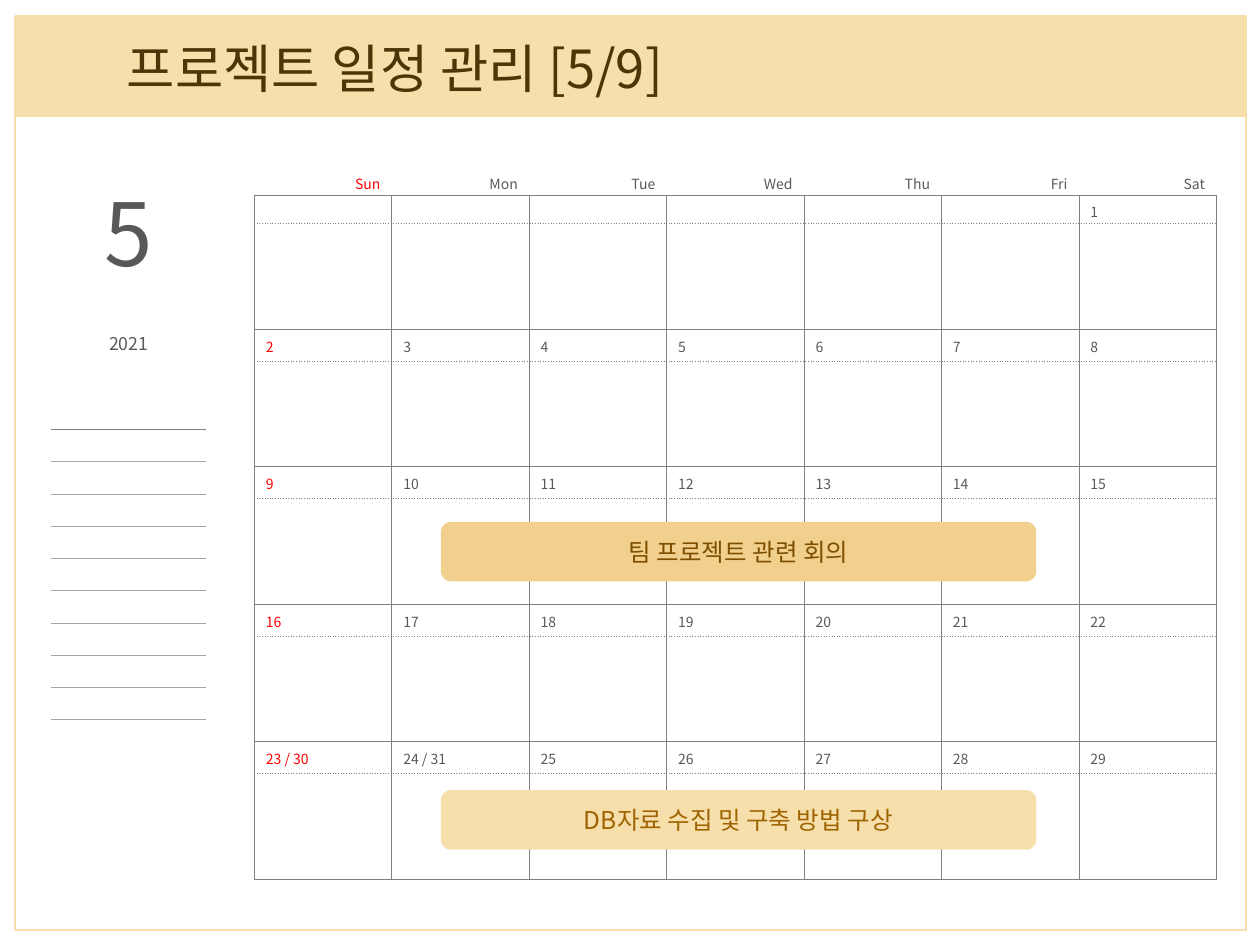
"""Build a monthly project calendar slide."""
from lxml.etree import SubElement
from pptx import Presentation
from pptx.dml.color import RGBColor
from pptx.enum.shapes import MSO_SHAPE as Shape
from pptx.enum.text import MSO_ANCHOR as Anchor, PP_ALIGN as Align
from pptx.oxml.ns import qn
from pptx.util import Cm, Pt

FONT = "Noto Sans CJK KR"
CREAM = RGBColor(0xF6, 0xDF, 0xAA)
GOLD = RGBColor(0xF1, 0xD0, 0x8D)
BROWN = RGBColor(0x4B, 0x36, 0x08)
AMBER = RGBColor(0x9E, 0x64, 0x01)
UMBER = RGBColor(0x7E, 0x4F, 0x01)
RED = RGBColor(0xFF, 0, 0)
TEXT = RGBColor(0x59, 0x59, 0x59)
GRAY = RGBColor(0x80, 0x80, 0x80)
PALE = RGBColor(0xA6, 0xA6, 0xA6)

TITLE = "프로젝트 일정 관리 [5/9]"
MONTH, YEAR = "5", "2021"
DAYS = ["Sun", "Mon", "Tue", "Wed", "Thu", "Fri", "Sat"]
WEEKS = [
    ["", "", "", "", "", "", "1"],
    ["2", "3", "4", "5", "6", "7", "8"],
    ["9", "10", "11", "12", "13", "14", "15"],
    ["16", "17", "18", "19", "20", "21", "22"],
    ["23 / 30", "24 / 31", "25", "26", "27", "28", "29"],
]
EVENTS = [
    ("DB자료 수집 및 구축 방법 구상", 15.93, CREAM, AMBER),
    ("팀 프로젝트 관련 회의", 10.52, GOLD, UMBER),
]
NOTES = 10


def write(para, text, size=8, color=TEXT, align=Align.LEFT, space=None, gap=None):
    para.alignment = align
    if space:
        para.line_spacing = space
    if gap:
        para.space_before = Pt(gap)
    if not text:
        SubElement(para._p, qn("a:endParaRPr"), sz=str(size * 100))
        return
    run = para.add_run()
    run.text = text
    font = run.font
    font.size, font.bold, font.color.rgb = Pt(size), False, color
    font.name = FONT
    SubElement(font._element, qn("a:ea"), typeface=FONT)


def draw(slide, kind, box, fill=None, line=None):
    shape = slide.shapes.add_shape(kind, *map(Cm, box))
    shape.shadow.inherit = False
    if fill:
        shape.fill.solid()
        shape.fill.fore_color.rgb = fill
    else:
        shape.fill.background()
    if line:
        shape.line.color.rgb = line
        shape.line.width = Pt(1.5)
    else:
        shape.line.fill.background()
    return shape


def add_box(slide, box, wrap=True):
    frame = slide.shapes.add_textbox(*map(Cm, box)).text_frame
    frame.word_wrap = wrap
    return frame


def edge(cell, sides):
    props = cell._tc.get_or_add_tcPr()
    for side in "LRTB":
        line = SubElement(props, qn(f"a:ln{side}"), w=str(Pt(0.5)))
        if side not in sides:
            SubElement(line, qn("a:noFill"))
            continue
        color, dash = sides[side]
        fill = SubElement(line, qn("a:solidFill"))
        SubElement(fill, qn("a:srgbClr"), val=str(color))
        SubElement(line, qn("a:prstDash"), val=dash)
    cell.fill.background()


def add_grid(slide, left, top, width, rows, cols):
    size = Cm(width * cols), Cm(sum(rows))
    table = slide.shapes.add_table(len(rows), cols, Cm(left), Cm(top), *size).table
    table.first_row = table.horz_banding = False
    for col in table.columns:
        col.width = Cm(width)
    for row, tall in zip(table.rows, rows):
        row.height = Cm(tall)
    for cell in table.iter_cells():
        cell.margin_left = cell.margin_right = Cm(0.23)
        cell.margin_top, cell.margin_bottom = Cm(0.13), 0
    return table


def add_month(slide):
    solid, dots = (GRAY, "solid"), (GRAY, "sysDot")
    date = {"L": solid, "R": solid, "T": solid, "B": dots}
    body = {**date, "T": dots, "B": solid}
    lines = [(DAYS, {"B": solid}, 0.58)]
    for week in WEEKS:
        tall = 0.64 if week[0] else 0.58
        lines += [(week, date, tall), ([""] * 7, body, 2.13)]
    table = add_grid(slide, 5.13, 3.35, 2.77, [tall for _, _, tall in lines], 7)
    for r, (words, sides, _) in enumerate(lines):
        for c, word in enumerate(words):
            cell = table.cell(r, c)
            write(cell.text_frame.paragraphs[0], word, color=TEXT if c else RED,
                  align=Align.LEFT if r else Align.RIGHT)
            edge(cell, sides)


def add_notes(slide):
    table = add_grid(slide, 1.02, 8.66, 3.14, [0.65] * NOTES, 1)
    rule = (PALE, "solid")
    for i, cell in enumerate(table.iter_cells()):
        write(cell.text_frame.paragraphs[0], "")
        sides = {"T": rule if i else (GRAY, "solid")}
        if i < NOTES - 1:
            sides["B"] = rule
        edge(cell, sides)


def main():
    deck = Presentation()
    deck.slide_width, deck.slide_height = Cm(25.4), Cm(19.05)
    slide = deck.slides.add_slide(deck.slide_layouts[6])

    draw(slide, Shape.RECTANGLE, (0.3, 0.33, 24.82, 2.03), fill=CREAM)
    draw(slide, Shape.RECTANGLE, (0.3, 0.33, 24.82, 18.42), line=CREAM)
    frame = add_box(slide, (2.31, 0.6, 12, 1.5), wrap=False)
    write(frame.paragraphs[0], TITLE, size=30, color=BROWN)

    add_month(slide)
    frame = add_box(slide, (1.3, 2.44, 2.59, 4.7))
    write(frame.paragraphs[0], MONTH, size=49.8, align=Align.CENTER, space=1.5)
    write(frame.add_paragraph(), YEAR, size=10.1, align=Align.CENTER, space=1.5, gap=22)
    add_notes(slide)

    for text, top, fill, color in EVENTS:
        bar = draw(slide, Shape.ROUNDED_RECTANGLE, (8.89, top, 12, 1.2), fill=fill)
        bar.adjustments[0] = 0.17
        bar.text_frame.vertical_anchor = Anchor.MIDDLE
        write(bar.text_frame.paragraphs[0], text, size=14, color=color, align=Align.CENTER)
    deck.save("out.pptx")


if __name__ == "__main__":
    main()
